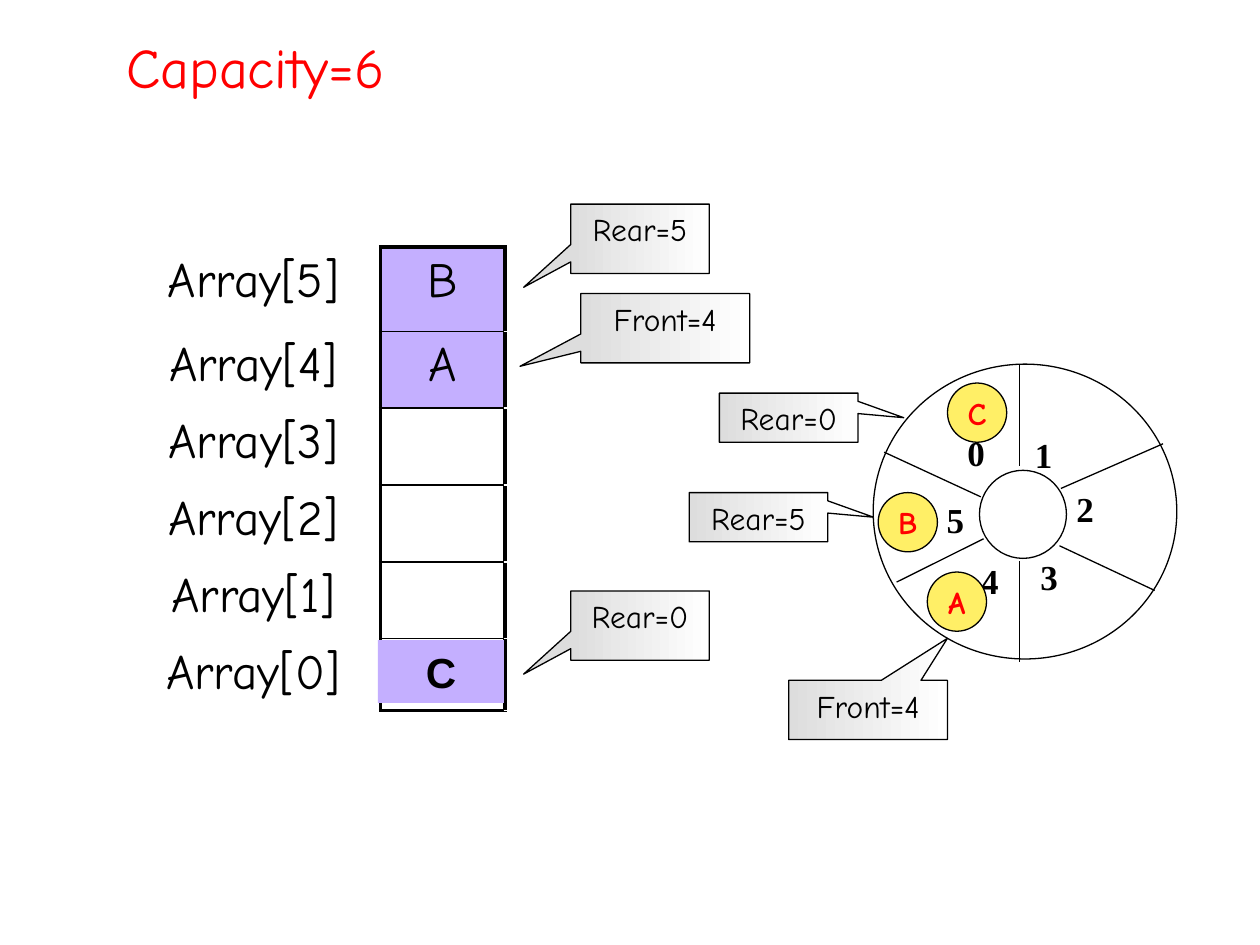
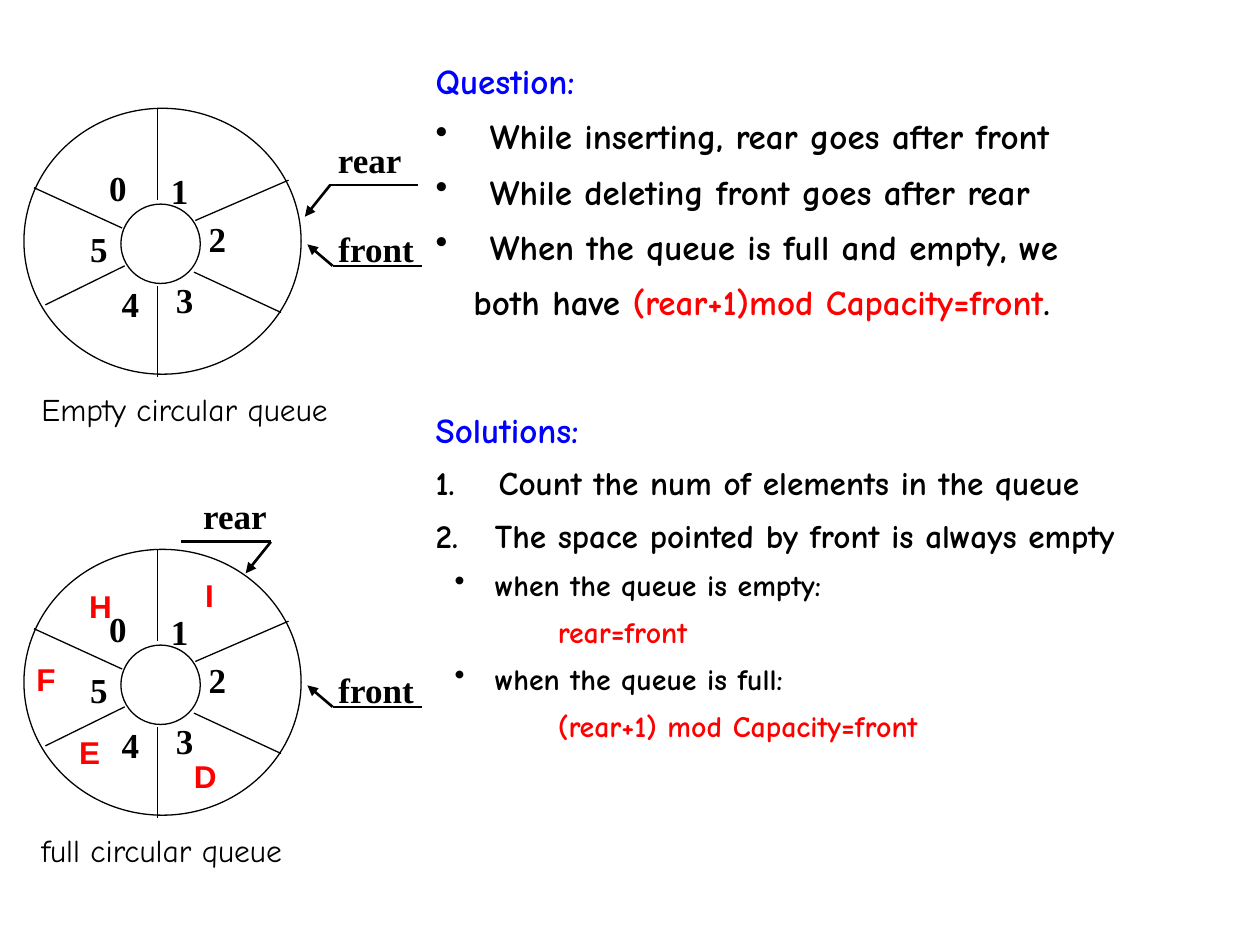
from dataclasses import dataclass
from typing import Optional

from lxml.etree import SubElement
from pptx import Presentation
from pptx.dml.color import RGBColor
from pptx.enum.shapes import MSO_CONNECTOR, MSO_SHAPE
from pptx.enum.text import MSO_ANCHOR, MSO_AUTO_SIZE, PP_ALIGN
from pptx.oxml.ns import qn
from pptx.util import Inches, Pt


@dataclass(frozen=True)
class Theme:
    black: str = "000000"
    red: str = "FF0000"
    blue: str = "0000FF"
    lilac: str = "C4AFFF"
    yellow: str = "FFEF66"
    gray: str = "DDDDDD"
    white: str = "FFFFFF"
    comic: str = "Comic Neue"
    serif: str = "Times New Roman"
    sans: str = "Arial"
    title: int = 32
    cell: int = 28
    stored: int = 24
    body: int = 20
    step: int = 19
    small: int = 18
    detail: int = 17
    thin: float = 0.75
    rule: float = 1
    pointer: float = 1.5
    frame: float = 2.25


THEME = Theme()


@dataclass(frozen=True)
class Style:
    size: int
    face: str = THEME.comic
    color: str = THEME.black
    bold: bool = False
    align: Optional[PP_ALIGN] = PP_ALIGN.CENTER


CELL = Style(THEME.cell)
CALLOUT = Style(THEME.small)
CAPTION = Style(THEME.small, align=PP_ALIGN.LEFT)
BALL = Style(THEME.small, color=THEME.red, bold=True)
ITEM = Style(THEME.small, THEME.sans, THEME.red, True, PP_ALIGN.LEFT)
LABEL = Style(THEME.body, THEME.serif, bold=True)


@dataclass(frozen=True)
class Callout:
    text: str
    left: float
    top: float
    width: float
    height: float
    tip: tuple[float, float]


@dataclass(frozen=True)
class Mark:
    """A short text placed by its top left corner."""
    text: str
    left: float
    top: float


@dataclass(frozen=True)
class Pointer:
    """A label on a rule with an arrow, measured from the wheel's corner."""
    label: Mark
    width: float
    rule_left: float
    rule_top: float
    elbow: float
    tip: tuple[float, float]


@dataclass(frozen=True)
class Line:
    text: str
    size: int = THEME.body
    color: str = THEME.black
    margin: float = 0
    hang: float = 0
    bullet: str = ""
    before: Optional[float] = None
    accent: str = ""
    ending: str = ""


# Wheel geometry for a wheel of WHEEL size; other sizes are scaled from it.
WHEEL = (2.2, 2.11)
HUB = (0.77, 0.76, 0.63, 0.63)
SPOKES = [(1.06, 0, 1.06, 0.73), (1.06, 1.41, 1.06, 2.13), (1.36, 0.89, 2.1, 0.57),
          (0.17, 1.56, 0.8, 1.25), (1.35, 1.3, 2.04, 1.62), (0.08, 0.63, 0.78, 0.95)]
DIGIT_BOX = (0.39, 0.32)
DIGITS = [Mark("0", 0.55, 0.47), Mark("1", 1.04, 0.49), Mark("2", 1.34, 0.87),
          Mark("3", 1.08, 1.36), Mark("4", 0.65, 1.39), Mark("5", 0.4, 0.95)]
RULE_LENGTH = 0.71

ROW_HEIGHTS = [0.67, 0.61, 0.61, 0.61, 0.61, 0.57]
COLUMN_WIDTHS = [2.02, 0.99, 1.73]
STORED = {5: "B", 4: "A"}
CALLOUTS = [
    Callout("Rear=5", 4.53, 1.62, 1.1, 0.55, (-0.84, 0.7)),
    Callout("Front=4", 4.61, 2.33, 1.34, 0.55, (-0.86, 0.55)),
    Callout("Rear=0", 4.53, 4.69, 1.1, 0.55, (-0.84, 0.7)),
    Callout("Front=4", 6.26, 5.4, 1.26, 0.47, (0.5, -1.21)),
    Callout("Rear=5", 5.47, 3.91, 1.1, 0.39, (0.83, 0)),
    Callout("Rear=0", 5.71, 3.12, 1.1, 0.39, (0.83, 0)),
]
BALLS = [Mark("A", 7.36, 4.54), Mark("B", 6.97, 3.91), Mark("C", 7.52, 3.04)]

FRONT = Pointer(Mark("front", 2.44, 0.92), 0.71, 2.45, 1.25, 2.45, (2.25, 1.08))
REAR_EMPTY = Pointer(Mark("rear", 2.47, 0.21), 0.55, 2.42, 0.61, 2.43, (2.23, 0.86))
REAR_FULL = Pointer(Mark("rear", 1.4, -0.46), 0.55, 1.25, -0.06, 1.96, (1.76, 0.19))
ITEMS = [Mark("F", 0.19, 5.19), Mark("E", 0.53, 5.77), Mark("D", 1.44, 5.96),
         Mark("H", 0.61, 4.61), Mark("I", 1.53, 4.52)]
LINES = [
    Line("Question:", color=THEME.blue, before=0),
    Line("While inserting, rear goes after front", margin=0.43, hang=0.43, bullet="•"),
    Line("While deleting front goes after rear", margin=0.43, hang=0.43, bullet="•"),
    Line("When the queue is full and empty, we", margin=0.43, hang=0.43, bullet="•"),
    Line("both have ", margin=0.3, accent="(rear+1)mod Capacity=front", ending="."),
    Line("Solutions:", color=THEME.blue, before=46.5),
    Line("Count the num of elements in the queue", THEME.step,
         margin=0.5, hang=0.5, bullet="1."),
    Line("The space pointed by front is always empty", THEME.step,
         margin=0.47, hang=0.47, bullet="2."),
    Line("when the queue is empty:", THEME.detail, margin=0.47, hang=0.32, bullet="•"),
    Line("rear=front", THEME.detail, THEME.red, margin=0.97),
    Line("when the queue is full:", THEME.detail, margin=0.47, hang=0.32, bullet="•"),
    Line("(rear+1) mod Capacity=front", THEME.detail, THEME.red, margin=0.97),
]


def rgb(color: str) -> RGBColor:
    return RGBColor.from_string(color)


def style_paragraph(para, style: Style) -> None:
    para.alignment = style.align
    font = para.font
    font.size, font.name, font.bold = Pt(style.size), style.face, style.bold
    font.color.rgb = rgb(style.color)


def write(frame, text: str, style: Style, middle: bool = False) -> None:
    """Fill a text frame; middle text is centred on its box and never wraps."""
    frame.auto_size = MSO_AUTO_SIZE.NONE
    frame.word_wrap = not middle
    frame.vertical_anchor = MSO_ANCHOR.MIDDLE if middle else MSO_ANCHOR.TOP
    para = frame.paragraphs[0]
    para.text = text
    style_paragraph(para, style)


def add_text(page, mark: Mark, width: float, height: float, style: Style,
             middle: bool = False) -> None:
    box = page.shapes.add_textbox(Inches(mark.left), Inches(mark.top),
                                  Inches(width), Inches(height))
    write(box.text_frame, mark.text, style, middle)


def add_figure(page, kind: MSO_SHAPE, left: float, top: float, width: float,
               height: float, fill: str = "", outlined: bool = True):
    figure = page.shapes.add_shape(kind, Inches(left), Inches(top),
                                   Inches(width), Inches(height))
    figure.shadow.inherit = False
    if fill:
        figure.fill.solid()
        figure.fill.fore_color.rgb = rgb(fill)
    else:
        figure.fill.background()
    if outlined:
        figure.line.color.rgb = rgb(THEME.black)
        figure.line.width = Pt(THEME.thin)
    else:
        figure.line.fill.background()
    return figure


def add_line(page, x1: float, y1: float, x2: float, y2: float,
             weight: float, arrow: bool = False) -> None:
    line = page.shapes.add_connector(MSO_CONNECTOR.STRAIGHT, Inches(x1), Inches(y1),
                                     Inches(x2), Inches(y2))
    line.line.color.rgb = rgb(THEME.black)
    line.line.width = Pt(weight)
    if arrow:
        SubElement(line.line._get_or_add_ln(), qn("a:tailEnd"), type="triangle")
    SubElement(line._element.spPr, qn("a:effectLst"))


def add_wheel(page, left: float, top: float, size: tuple[float, float] = WHEEL) -> None:
    def scaled(*values: float) -> list[float]:
        return [value * size[i % 2] / WHEEL[i % 2] for i, value in enumerate(values)]

    x, y, width, height = scaled(*HUB)
    add_figure(page, MSO_SHAPE.OVAL, left + x, top + y, width, height)
    add_figure(page, MSO_SHAPE.OVAL, left, top, *size)
    for spoke in SPOKES:
        x1, y1, x2, y2 = scaled(*spoke)
        add_line(page, left + x1, top + y1, left + x2, top + y2, THEME.thin)
    for digit in DIGITS:
        x, y, width, height = scaled(digit.left, digit.top, *DIGIT_BOX)
        add_text(page, Mark(digit.text, left + x, top + y), width, height, LABEL, True)


def add_pointer(page, left: float, top: float, pointer: Pointer) -> None:
    label = pointer.label
    add_text(page, Mark(label.text, left + label.left, top + label.top),
             pointer.width, 0.39, LABEL, True)
    x, y = left + pointer.rule_left, top + pointer.rule_top
    add_line(page, x, y, x + RULE_LENGTH, y, THEME.pointer)
    add_line(page, left + pointer.elbow, y, left + pointer.tip[0],
             top + pointer.tip[1], THEME.pointer, arrow=True)


def add_callout(page, callout: Callout) -> None:
    figure = add_figure(page, MSO_SHAPE.RECTANGULAR_CALLOUT, callout.left, callout.top,
                        callout.width, callout.height)
    figure.adjustments[0], figure.adjustments[1] = callout.tip
    figure.fill.gradient()
    figure.fill.gradient_angle = 0
    for stop, color in zip(figure.fill.gradient_stops, (THEME.gray, THEME.white)):
        stop.color.rgb = rgb(color)
    write(figure.text_frame, callout.text, CALLOUT)


def set_borders(cell, **weights: float) -> None:
    """Draw the sides named L, R, T and B, given in that order."""
    properties = cell._tc.get_or_add_tcPr()
    for side, weight in weights.items():
        edge = SubElement(properties, qn(f"a:ln{side}"), w=str(Pt(weight)))
        SubElement(SubElement(edge, qn("a:solidFill")), qn("a:srgbClr"), val=THEME.black)


def add_array(page) -> None:
    rows, columns = len(ROW_HEIGHTS), len(COLUMN_WIDTHS)
    table = page.shapes.add_table(rows, columns, Inches(1), Inches(1.96),
                                  Inches(sum(COLUMN_WIDTHS)), Inches(sum(ROW_HEIGHTS))).table
    table.first_row = table.horz_banding = False
    for column, width in zip(table.columns, COLUMN_WIDTHS):
        column.width = Inches(width)
    for number, height in enumerate(ROW_HEIGHTS):
        table.rows[number].height = Inches(height)
        index = rows - 1 - number
        name, slot, spare = (table.cell(number, column) for column in range(columns))
        set_borders(name, R=THEME.frame)
        set_borders(slot, L=THEME.frame, R=THEME.frame,
                    T=THEME.frame if number == 0 else THEME.rule,
                    B=THEME.frame if index == 0 else THEME.rule)
        set_borders(spare, L=THEME.frame)
        for cell, text in ((name, f"Array[{index}]"), (slot, STORED.get(index, "")), (spare, "")):
            cell.fill.background()
            cell.text = text
            style_paragraph(cell.text_frame.paragraphs[0], CELL)
        if index in STORED:
            slot.fill.solid()
            slot.fill.fore_color.rgb = rgb(THEME.lilac)


def add_notes_column(page) -> None:
    """Write the question and its solutions beside the wheels."""
    frame = page.shapes.add_textbox(Inches(3.36), Inches(0.39),
                                    Inches(6.17), Inches(5.6)).text_frame
    frame.word_wrap = True
    for number, line in enumerate(LINES):
        para = frame.add_paragraph() if number else frame.paragraphs[0]
        para.line_spacing = 1.1
        para.space_before = Pt(0.26 * line.size if line.before is None else line.before)
        properties = para._p.get_or_add_pPr()
        properties.set("marL", str(Inches(line.margin)))
        properties.set("indent", str(-Inches(line.hang)))
        if line.bullet == "•":
            SubElement(properties, qn("a:buChar"), char=line.bullet)
        elif line.bullet:
            SubElement(properties, qn("a:buAutoNum"), type="arabicPeriod",
                       startAt=line.bullet.rstrip("."))
        for text in filter(None, (line.text, line.accent, line.ending)):
            span = para.add_run()
            span.text = text
            if text == line.accent:
                span.font.color.rgb = rgb(THEME.red)
        style_paragraph(para, Style(line.size, color=line.color, bold=True, align=PP_ALIGN.LEFT))


def build_capacity_page(deck) -> None:
    page = deck.slides.add_slide(deck.slide_layouts[5])
    title = page.shapes.title
    title.left, title.top, title.width, title.height = map(Inches, (0.9, 0.21, 2.91, 0.64))
    write(title.text_frame, "Capacity=6",
          Style(THEME.title, color=THEME.red, align=PP_ALIGN.LEFT))
    add_array(page)
    add_wheel(page, 6.93, 2.89, (2.41, 2.34))
    stored = add_figure(page, MSO_SHAPE.RECTANGLE, 3, 5.08, 1, 0.5, THEME.lilac, False)
    write(stored.text_frame, "C", Style(THEME.stored, THEME.sans, bold=True))
    for callout in CALLOUTS:
        add_callout(page, callout)
    for ball in BALLS:
        disc = add_figure(page, MSO_SHAPE.OVAL, ball.left, ball.top, 0.47, 0.47, THEME.yellow)
        write(disc.text_frame, ball.text, BALL, True)


def build_question_page(deck) -> None:
    page = deck.slides.add_slide(deck.slide_layouts[6])
    left = 0.19
    for top, rear, caption in ((0.86, REAR_EMPTY, "Empty circular queue"),
                               (4.36, REAR_FULL, "full circular queue")):
        add_wheel(page, left, top)
        for pointer in (FRONT, rear):
            add_pointer(page, left, top, pointer)
        add_text(page, Mark(caption, 0.23, top + 2.19), 2.8, 0.4, CAPTION)
    for item in ITEMS:
        add_text(page, item, 0.58, 0.4, ITEM)
    add_notes_column(page)


def main() -> None:
    deck = Presentation()
    deck.slide_width, deck.slide_height = Inches(10), Inches(7.5)
    build_capacity_page(deck)
    build_question_page(deck)
    deck.save("out.pptx")


if __name__ == "__main__":
    main()
